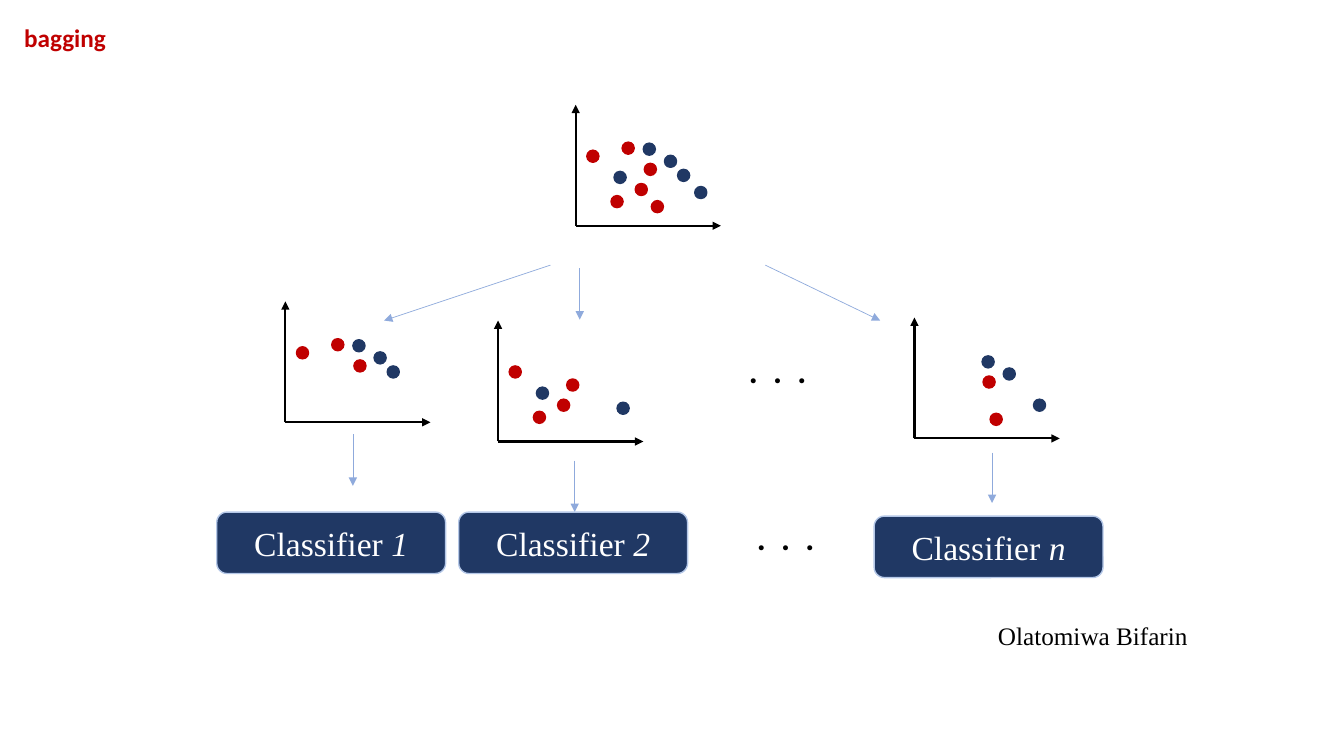
import pptx
import pptx.util
import pptx.dml.color
import pptx.enum.shapes
import pptx.enum.text
import pptx.oxml
import pptx.oxml.ns
from lxml import etree

Inches = pptx.util.Inches
Pt = pptx.util.Pt
RGBColor = pptx.dml.color.RGBColor
MSO_SHAPE = pptx.enum.shapes.MSO_SHAPE
PP_ALIGN = pptx.enum.text.PP_ALIGN
MSO_ANCHOR = pptx.enum.text.MSO_ANCHOR

NAVY = RGBColor(0x20, 0x38, 0x64)
RED = RGBColor(0xC0, 0x00, 0x00)
BLACK = RGBColor(0x00, 0x00, 0x00)
WHITE = RGBColor(0xFF, 0xFF, 0xFF)
FLOW_BLUE = RGBColor(0x8F, 0xAA, 0xDC)
BORDER_BLUE = RGBColor(0xB4, 0xC7, 0xE7)
SERIF = "Times New Roman"
SANS = "Calibri"

PLOT_W, PLOT_H, DOT = 1.44, 1.2, 0.12

# Full data set: offset of each dot from the plot's top left, and its class
SAMPLES = [
    (0.88, 0.50, NAVY), (0.46, 0.37, RED), (0.38, 0.66, NAVY),
    (0.59, 0.78, RED), (0.67, 0.38, NAVY), (1.01, 0.64, NAVY),
    (1.18, 0.81, NAVY), (0.75, 0.95, RED), (0.68, 0.58, RED),
    (0.11, 0.45, RED), (0.35, 0.90, RED),
]

# Left and top of each plot, and the samples drawn into it
PLOTS = [
    (5.71, 1.04, range(len(SAMPLES))),
    (2.83, 2.99, (0, 1, 4, 5, 8, 9)),
    (4.94, 3.18, (2, 3, 6, 8, 9, 10)),
    (9.07, 3.15, (0, 4, 6, 7, 8)),
]

FLOW_ARROWS = [
    (5.46, 2.63, 3.81, 3.18), (7.59, 2.63, 8.73, 3.18), (5.75, 2.66, 5.75, 3.17),
    (3.5, 4.31, 3.5, 4.82), (5.7, 4.57, 5.7, 5.08), (9.84, 4.49, 9.84, 4.99),
]

CLASSIFIERS = [(2.15, 5.08, "1"), (4.55, 5.08, "2"), (8.67, 5.12, "n")]
ELLIPSES = [(7.33, 3.42), (7.41, 5.08)]


def add_run(p, text, font, size, color, bold=False, italic=False):
    r = p.add_run()
    r.text = text
    r.font.name = font
    r.font.size = Pt(size)
    r.font.color.rgb = color
    r.font.bold = bold
    r.font.italic = italic


def add_arrow(shapes, x1, y1, x2, y2, color, width):
    line = shapes.add_connector(
        pptx.enum.shapes.MSO_CONNECTOR.STRAIGHT,
        Inches(x1), Inches(y1), Inches(x2), Inches(y2))
    line.line.color.rgb = color
    line.line.width = Pt(width)
    qn = pptx.oxml.ns.qn
    etree.SubElement(line.line._get_or_add_ln(), qn("a:tailEnd"), type="triangle")
    etree.SubElement(line._element.spPr, qn("a:effectLst"))


def add_filled(shapes, kind, left, top, width, height, fill, border):
    sp = shapes.add_shape(kind, Inches(left), Inches(top), Inches(width), Inches(height))
    sp.shadow.inherit = False
    sp.fill.solid()
    sp.fill.fore_color.rgb = fill
    sp.line.color.rgb = border
    sp.line.width = Pt(1)
    return sp


def add_plot(slide, left, top, chosen):
    """Draw the two axes and the chosen samples as one group."""
    shapes = slide.shapes.add_group_shape().shapes
    base = top + PLOT_H
    add_arrow(shapes, left, base, left, top, BLACK, 1.5)
    add_arrow(shapes, left, base, left + PLOT_W, base, BLACK, 1.5)
    for i in chosen:
        dx, dy, color = SAMPLES[i]
        add_filled(shapes, MSO_SHAPE.OVAL, left + dx, top + dy, DOT, DOT, color, color)


def add_classifier(slide, left, top, label):
    sp = add_filled(slide.shapes, MSO_SHAPE.ROUNDED_RECTANGLE,
                    left, top, 2.27, 0.61, NAVY, BORDER_BLUE)
    tf = sp.text_frame
    tf.vertical_anchor = MSO_ANCHOR.MIDDLE
    p = tf.paragraphs[0]
    p.alignment = PP_ALIGN.CENTER
    add_run(p, "Classifier ", SERIF, 24, WHITE)
    add_run(p, label, SERIF, 24, WHITE, italic=True)


def write_label(sp, text, font, size, color, bold=False):
    tf = sp.text_frame
    tf.word_wrap = False
    tf.auto_size = pptx.enum.text.MSO_AUTO_SIZE.SHAPE_TO_FIT_TEXT
    tf.vertical_anchor = MSO_ANCHOR.TOP
    p = tf.paragraphs[0]
    p.alignment = PP_ALIGN.LEFT
    add_run(p, text, font, size, color, bold)


def add_label(slide, left, top, width, height, *text_style):
    sp = slide.shapes.add_textbox(Inches(left), Inches(top), Inches(width), Inches(height))
    write_label(sp, *text_style)


def place_title(slide, left, top, width, height, text):
    title = slide.shapes.title
    title.left, title.top = Inches(left), Inches(top)
    title.width, title.height = Inches(width), Inches(height)
    write_label(title, text, SANS, 18, RED, True)


def build_bagging_slide(prs):
    slide = prs.slides.add_slide(prs.slide_layouts[5])
    place_title(slide, 0.14, 0.17, 1.02, 0.4, "bagging")
    for plot in PLOTS:
        add_plot(slide, *plot)
    for ends in FLOW_ARROWS:
        add_arrow(slide.shapes, *ends, FLOW_BLUE, 0.5)
    for classifier in CLASSIFIERS:
        add_classifier(slide, *classifier)
    for left, top in ELLIPSES:
        add_label(slide, left, top, 0.77, 0.5, ".  .  .", SANS, 24, BLACK, True)
    add_label(slide, 9.8, 6.1, 2.23, 0.4, "Olatomiwa Bifarin", SERIF, 18, BLACK)


def main():
    prs = pptx.Presentation()
    prs.slide_width = Inches(13.33)
    prs.slide_height = Inches(7.5)
    build_bagging_slide(prs)
    prs.save("out.pptx")


if __name__ == "__main__":
    main()
